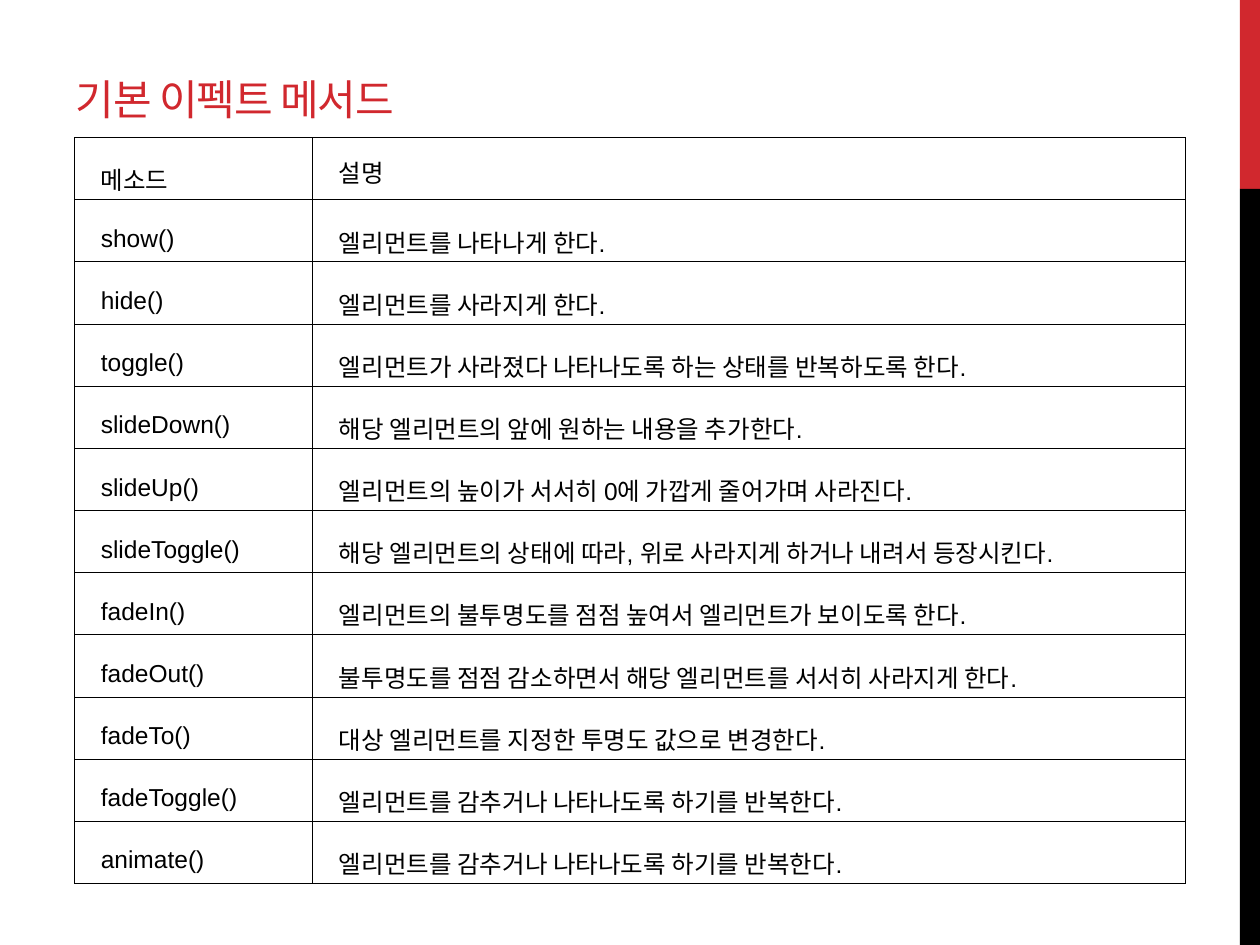
from dataclasses import dataclass
from typing import NamedTuple

from lxml.etree import SubElement
from pptx import Presentation
from pptx.dml.color import RGBColor as Rgb
from pptx.enum.shapes import MSO_SHAPE as Kind
from pptx.enum.text import MSO_ANCHOR as Anchor, PP_ALIGN as Align
from pptx.oxml.ns import qn
from pptx.util import Inches, Pt


@dataclass(frozen=True)
class Theme:
    """Colours, fonts and type sizes of the slide."""
    red: str = "D1282E"
    black: str = "000000"
    head: str = "Montserrat"
    body: str = "Arial"
    big: float = 24
    small: float = 14
    rule: float = 0.25


class Bar(NamedTuple):
    """A block of the strip on the right edge."""
    top: float
    high: float
    color: str


class Entry(NamedTuple):
    """A table row: a method and what it does."""
    name: str
    note: str
    lead: float = 1.6


LOOK = Theme()
BARS = [Bar(0, 1.5, LOOK.red), Bar(1.5, 6, LOOK.black)]
COLS = [1.89, 6.93]
ROW = 0.49
ROWS = [
    Entry("메소드", "설명", 1.2),
    Entry("show()", "엘리먼트를 나타나게 한다."),
    Entry("hide()", "엘리먼트를 사라지게 한다."),
    Entry("toggle()", "엘리먼트가 사라졌다 나타나도록 하는 상태를 반복하도록 한다."),
    Entry("slideDown()", "해당 엘리먼트의 앞에 원하는 내용을 추가한다."),
    Entry("slideUp()", "엘리먼트의 높이가 서서히 0에 가깝게 줄어가며 사라진다."),
    Entry("slideToggle()", "해당 엘리먼트의 상태에 따라, 위로 사라지게 하거나 내려서 등장시킨다."),
    Entry("fadeIn()", "엘리먼트의 불투명도를 점점 높여서 엘리먼트가 보이도록 한다."),
    Entry("fadeOut()", "불투명도를 점점 감소하면서 해당 엘리먼트를 서서히 사라지게 한다."),
    Entry("fadeTo()", "대상 엘리먼트를 지정한 투명도 값으로 변경한다."),
    Entry("fadeToggle()", "엘리먼트를 감추거나 나타나도록 하기를 반복한다."),
    Entry("animate()", "엘리먼트를 감추거나 나타나도록 하기를 반복한다."),
]


def write(frame, text: str, *, size: float, font: str, color: str,
          align=Align.LEFT, lead: float = 1.0, indent: float = 0,
          track: float = 0) -> None:
    """Put one formatted paragraph in a text frame."""
    para = frame.paragraphs[0]
    para.alignment, para.line_spacing = align, lead
    props = para._p.get_or_add_pPr()
    props.set("marL", "0")
    props.set("indent", str(Inches(indent)))
    run = para.add_run()
    run.text = text
    run.font.size, run.font.name = Pt(size), font
    run.font.color.rgb = Rgb.from_string(color)
    if track:
        run._r.get_or_add_rPr().set("spc", str(round(track * 100)))


def draw_bar(slide, bar: Bar) -> None:
    """Draw one block of the side strip."""
    box = slide.shapes.add_shape(Kind.RECTANGLE, Inches(9.84), Inches(bar.top),
                                 Inches(0.16), Inches(bar.high))
    box.shadow.inherit = False
    box.fill.solid()
    box.fill.fore_color.rgb = Rgb.from_string(bar.color)
    box.line.fill.background()


def draw_title(slide, text: str) -> None:
    """Place and fill the title."""
    title = slide.shapes.title
    title.left, title.top = Inches(0.5), Inches(0.05)
    title.width, title.height = Inches(9.22), Inches(0.98)
    title.text_frame.vertical_anchor = Anchor.BOTTOM
    write(title.text_frame, text, size=LOOK.big, font=LOOK.head,
          color=LOOK.red, track=-0.6)


def edge(cell) -> None:
    """Rule all four sides of a cell."""
    props = cell._tc.get_or_add_tcPr()
    for spot, side in enumerate(("lnL", "lnR", "lnT", "lnB")):
        line = SubElement(props, qn(f"a:{side}"), w=str(Pt(LOOK.rule)))
        fill = SubElement(line, qn("a:solidFill"))
        SubElement(fill, qn("a:srgbClr"), val=LOOK.black)
        props.insert(spot, line)


def fill_cell(cell, text: str, lead: float) -> None:
    """Format one cell and write its text."""
    cell.fill.background()
    edge(cell)
    cell.vertical_anchor = Anchor.MIDDLE
    cell.margin_left = cell.margin_right = Inches(0.07)
    cell.margin_top = cell.margin_bottom = Inches(0.02)
    write(cell.text_frame, text, size=LOOK.small, font=LOOK.body,
          color=LOOK.black, align=Align.JUSTIFY, lead=lead, indent=0.14)


def draw_table(slide, rows: list[Entry]) -> None:
    """Draw the table of methods."""
    table = slide.shapes.add_table(
        len(rows), len(COLS), Inches(0.59), Inches(1.09),
        Inches(sum(COLS)), Inches(ROW * len(rows))).table
    table.first_row = table.horz_banding = False
    for col, wide in zip(table.columns, COLS):
        col.width = Inches(wide)
    for line, item in zip(table.rows, rows):
        line.height = Inches(ROW)
        fill_cell(line.cells[0], item.name, 1.6)
        fill_cell(line.cells[1], item.note, item.lead)


def main() -> None:
    """Build and save the slide."""
    deck = Presentation()
    deck.slide_width, deck.slide_height = Inches(10), Inches(7.5)
    slide = deck.slides.add_slide(deck.slide_layouts[5])
    for bar in BARS:
        draw_bar(slide, bar)
    draw_title(slide, "기본 이펙트 메서드")
    draw_table(slide, ROWS)
    deck.save("out.pptx")


if __name__ == "__main__":
    main()
